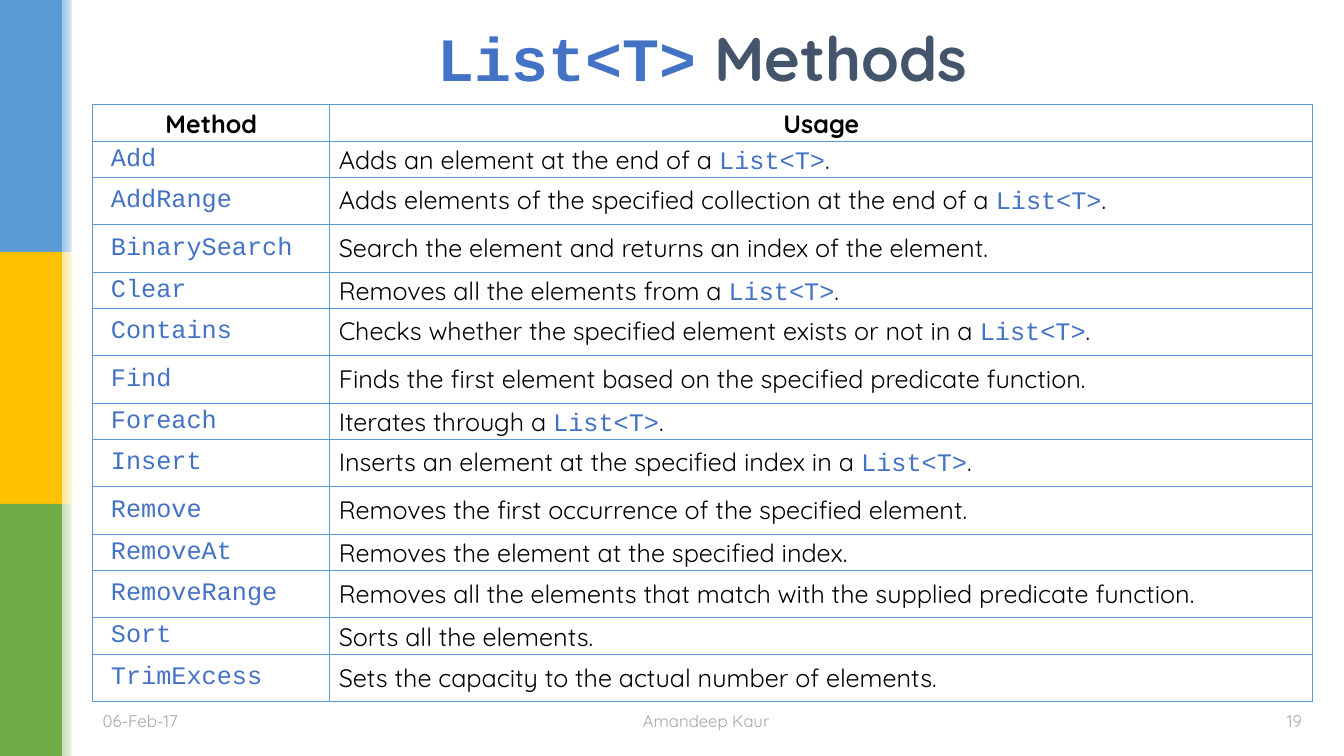
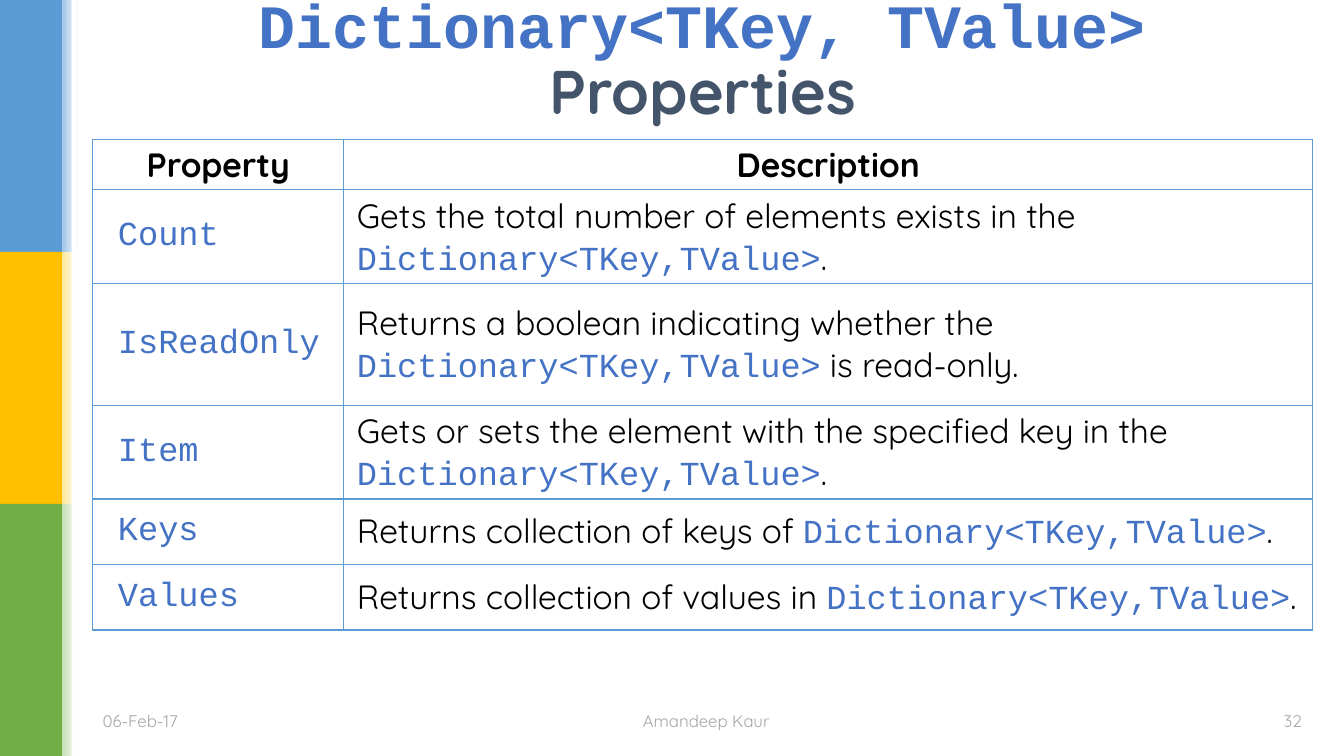
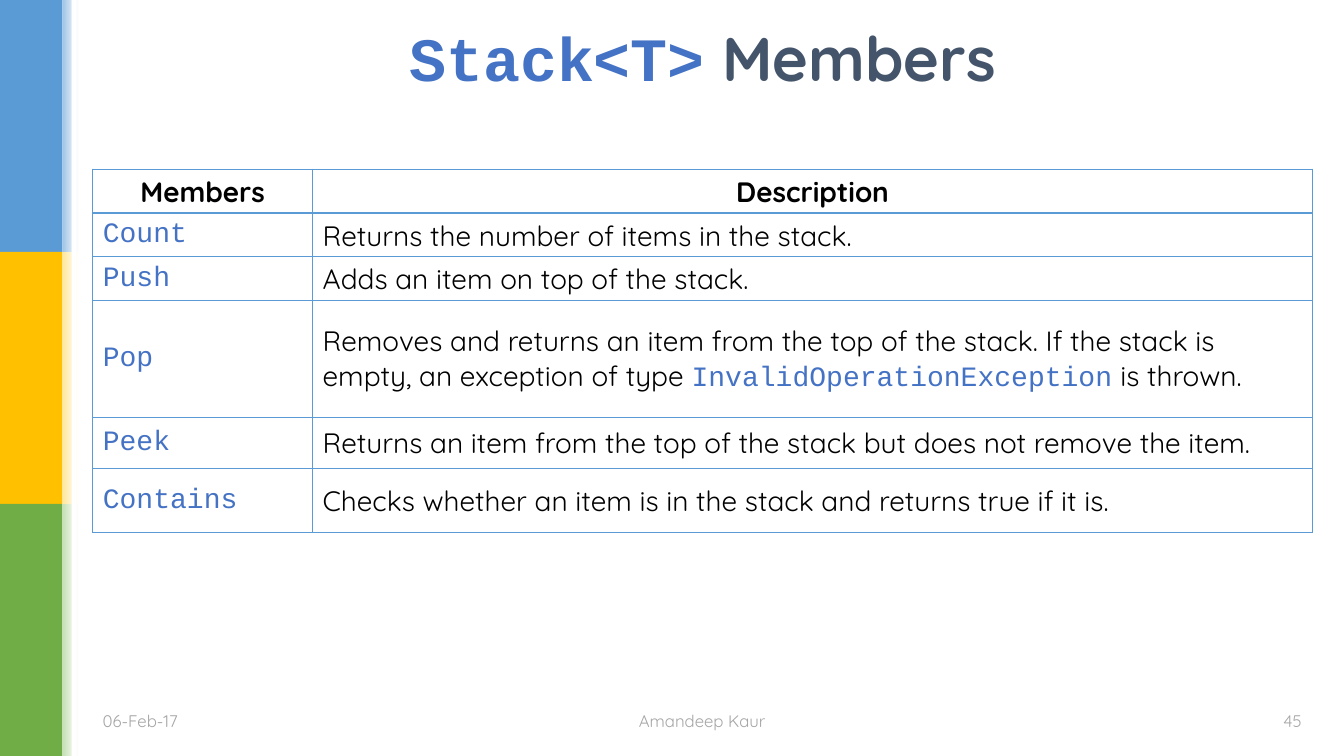
from dataclasses import dataclass

from lxml.etree import SubElement
from pptx import Presentation
from pptx.dml.color import RGBColor
from pptx.enum.shapes import MSO_SHAPE
from pptx.enum.text import MSO_ANCHOR, MSO_AUTO_SIZE, PP_ALIGN
from pptx.oxml.ns import qn
from pptx.util import Inches, Pt


@dataclass(frozen=True)
class Theme:
    """Colours, fonts and type sizes shared by all slides."""

    text_font: str = "Quicksand"
    code_font: str = "Courier New"
    title_color: str = "44546A"
    code_color: str = "4472C4"
    text_color: str = "000000"
    footer_color: str = "A5A5A5"
    border_color: str = "5B9BD5"
    white: str = "FFFFFF"
    bands: tuple = (("5B9BD5", "9DC3E6"), ("FFC000", "FFE699"), ("70AD47", "C5E0B4"))
    title_size: int = 44
    footer_size: int = 12
    border_width: int = 1


@dataclass(frozen=True)
class TableStyle:
    """Size, padding and left margins of one table."""

    top: float
    columns: tuple
    rows: tuple
    size: int
    padding: float
    left_margins: tuple


class Deck:
    """Holds the theme, the presentation and the current slide."""

    def __init__(self, theme):
        """Start an empty widescreen presentation."""
        self.theme = theme
        self.presentation = Presentation()
        self.presentation.slide_width = Inches(13.33)
        self.presentation.slide_height = Inches(7.5)
        self.layout = self.presentation.slide_layouts[5]
        self.slide = None

    def add_slide(self, title, number, footer_left=5.42):
        """Add a slide with its title and footer."""
        is_first = self.slide is None
        self.slide = self.presentation.slides.add_slide(self.layout)
        if is_first:
            self.add_layout_bands()
        self.add_title(title)
        self.add_footer("06-Feb-17", 0.92, 3.58, PP_ALIGN.LEFT)
        self.add_footer("Amandeep Kaur", footer_left, 3.17, PP_ALIGN.CENTER)
        self.add_footer(str(number), 9.43, 3.58, PP_ALIGN.RIGHT)

    def add_layout_bands(self):
        """Build the side bands and place them on the shared layout."""
        group = self.slide.shapes.add_group_shape()
        for index, (color, tint) in enumerate(self.theme.bands):
            self.add_band(group, 0, 2.5 * index, 0.62, 2.5, color)
            glow = self.add_band(group, 0.62, 2.5 * index, 0.16, 2.5, tint)
            glow.fill.gradient()
            glow.fill.gradient_angle = 0
            for stop, stop_color in zip(glow.fill.gradient_stops, (tint, self.theme.white)):
                stop.color.rgb = RGBColor.from_string(stop_color)
        self.add_band(group, 0.71, 0, 0.05, 7.5, self.theme.white)
        self.layout.shapes.element.insert(2, group.element)

    def add_band(self, group, left, top, width, height, color):
        """Add one plain rectangle to the band group."""
        shape = group.shapes.add_shape(
            MSO_SHAPE.RECTANGLE, Inches(left), Inches(top), Inches(width), Inches(height))
        shape.shadow.inherit = False
        shape.fill.solid()
        shape.fill.fore_color.rgb = RGBColor.from_string(color)
        shape.line.fill.background()
        return shape

    def add_run(self, paragraph, text, size, color, font=None, bold=False):
        """Add one formatted run."""
        run = paragraph.add_run()
        run.text = text
        run.font.name = font or self.theme.text_font
        run.font.size = Pt(size)
        run.font.bold = bold
        run.font.color.rgb = RGBColor.from_string(color)

    def add_marked_text(self, paragraph, text, size, color, bold=False):
        """Add runs, setting the parts between backticks as code."""
        for index, part in enumerate(text.split("`")):
            if part and index % 2:
                self.add_run(paragraph, part, size, self.theme.code_color,
                             self.theme.code_font, bold)
            elif part:
                self.add_run(paragraph, part, size, color, bold=bold)

    def add_title(self, text):
        """Place and fill the title placeholder."""
        title = self.slide.shapes.title
        title.left, title.top = Inches(0.92), Inches(0.17)
        title.width, title.height = Inches(12.1), Inches(0.88)
        frame = title.text_frame
        frame.word_wrap = True
        frame.auto_size = MSO_AUTO_SIZE.NONE
        frame.vertical_anchor = MSO_ANCHOR.MIDDLE
        paragraph = frame.paragraphs[0]
        paragraph.alignment = PP_ALIGN.CENTER
        paragraph.line_spacing = 0.9
        self.add_marked_text(paragraph, text, self.theme.title_size,
                             self.theme.title_color, bold=True)

    def add_footer(self, text, left, width, alignment):
        """Add one footer text."""
        box = self.slide.shapes.add_textbox(
            Inches(left), Inches(6.95), Inches(width), Inches(0.4))
        frame = box.text_frame
        frame.word_wrap = True
        frame.vertical_anchor = MSO_ANCHOR.MIDDLE
        paragraph = frame.paragraphs[0]
        paragraph.alignment = alignment
        self.add_run(paragraph, text, self.theme.footer_size, self.theme.footer_color)

    def add_table(self, style, header, entries):
        """Add a table of code names and their descriptions."""
        table = self.slide.shapes.add_table(
            len(style.rows), len(style.columns), Inches(0.92), Inches(style.top),
            Inches(sum(style.columns)), Inches(sum(style.rows))).table
        table.first_row = False
        table.horz_banding = False
        for column, width in zip(table.columns, style.columns):
            column.width = Inches(width)
        for row, height in zip(table.rows, style.rows):
            row.height = Inches(height)
        lines = [header] + [(f"`{name}`", usage) for name, usage in entries]
        for row_index, line in enumerate(lines):
            for column_index, text in enumerate(line):
                cell = table.cell(row_index, column_index)
                is_header = row_index == 0
                margin = style.padding if is_header else style.left_margins[column_index]
                self.fill_cell(cell, text, style, margin, is_header)

    def fill_cell(self, cell, text, style, left_margin, is_header):
        """Format one cell and write its paragraphs."""
        cell.fill.background()
        cell.vertical_anchor = MSO_ANCHOR.MIDDLE
        cell.margin_left = Inches(left_margin)
        cell.margin_right = cell.margin_top = cell.margin_bottom = Inches(style.padding)
        self.add_borders(cell)
        for index, line in enumerate(text.split("\n")):
            frame = cell.text_frame
            paragraph = frame.add_paragraph() if index else frame.paragraphs[0]
            paragraph.alignment = PP_ALIGN.CENTER if is_header else PP_ALIGN.LEFT
            self.add_marked_text(paragraph, line, style.size, self.theme.text_color, is_header)

    def add_borders(self, cell):
        """Draw the four borders of a cell."""
        properties = cell._tc.get_or_add_tcPr()
        for index, side in enumerate(("a:lnL", "a:lnR", "a:lnT", "a:lnB")):
            border = SubElement(properties, qn(side), w=str(Pt(self.theme.border_width)))
            fill = SubElement(border, qn("a:solidFill"))
            SubElement(fill, qn("a:srgbClr"), val=self.theme.border_color)
            properties.insert(index, border)


LIST_METHODS = [
    ("Add", "Adds an element at the end of a `List<T>`."),
    ("AddRange", "Adds elements of the specified collection at the end of a `List<T>`."),
    ("BinarySearch", "Search the element and returns an index of the element."),
    ("Clear", "Removes all the elements from a `List<T>`."),
    ("Contains", "Checks whether the specified element exists or not in a `List<T>`."),
    ("Find", "Finds the first element based on the specified predicate function."),
    ("Foreach", "Iterates through a `List<T>`."),
    ("Insert", "Inserts an element at the specified index in a `List<T>`."),
    ("Remove", "Removes the first occurrence of the specified element."),
    ("RemoveAt", "Removes the element at the specified index."),
    ("RemoveRange", "Removes all the elements that match with the supplied predicate function."),
    ("Sort", "Sorts all the elements."),
    ("TrimExcess", "Sets the capacity to the actual number of elements."),
]

DICTIONARY_PROPERTIES = [
    ("Count", "Gets the total number of elements exists in the\n`Dictionary<TKey,TValue>`."),
    ("IsReadOnly",
     "Returns a boolean indicating whether the\n`Dictionary<TKey,TValue>` is read-only."),
    ("Item",
     "Gets or sets the element with the specified key in the\n`Dictionary<TKey,TValue>`."),
    ("Keys", "Returns collection of keys of `Dictionary<TKey,TValue>`."),
    ("Values", "Returns collection of values in `Dictionary<TKey,TValue>`."),
]

STACK_MEMBERS = [
    ("Count", "Returns the number of items in the stack."),
    ("Push", "Adds an item on top of the stack."),
    ("Pop", "Removes and returns an item from the top of the stack. If the stack is empty, "
            "an exception of type `InvalidOperationException` is thrown."),
    ("Peek", "Returns an item from the top of the stack but does not remove the item."),
    ("Contains", "Checks whether an item is in the stack and returns true if it is."),
]


def main():
    """Build the three slides and save them."""
    deck = Deck(Theme())

    short, tall = 0.36, 0.47
    list_rows = (short, short, tall, tall, short, tall, tall,
                 short, tall, tall, short, tall, short, tall)
    deck.add_slide("`List<T>` Methods", 19)
    deck.add_table(TableStyle(1.04, (2.35, 9.75), list_rows, 18, 0.03, (0.18, 0.09)),
                   ("Method", "Usage"), LIST_METHODS)

    dictionary_rows = (0.38, 0.93, 1.21, 0.93, 0.65, 0.65)
    deck.add_slide("`Dictionary<TKey, TValue>` Properties", 32)
    deck.add_table(TableStyle(1.38, (2.49, 9.61), dictionary_rows, 24, 0.05, (0.25, 0.13)),
                   ("Property", "Description"), DICTIONARY_PROPERTIES)

    stack_rows = (0.35, 0.36, 0.36, 1.16, 0.51, 0.63)
    deck.add_slide("`Stack<T>` Members", 45, footer_left=5.38)
    deck.add_table(TableStyle(1.68, (2.18, 9.92), stack_rows, 20, 0.05, (0.1, 0.1)),
                   ("Members", "Description"), STACK_MEMBERS)

    deck.presentation.save("out.pptx")


if __name__ == "__main__":
    main()
